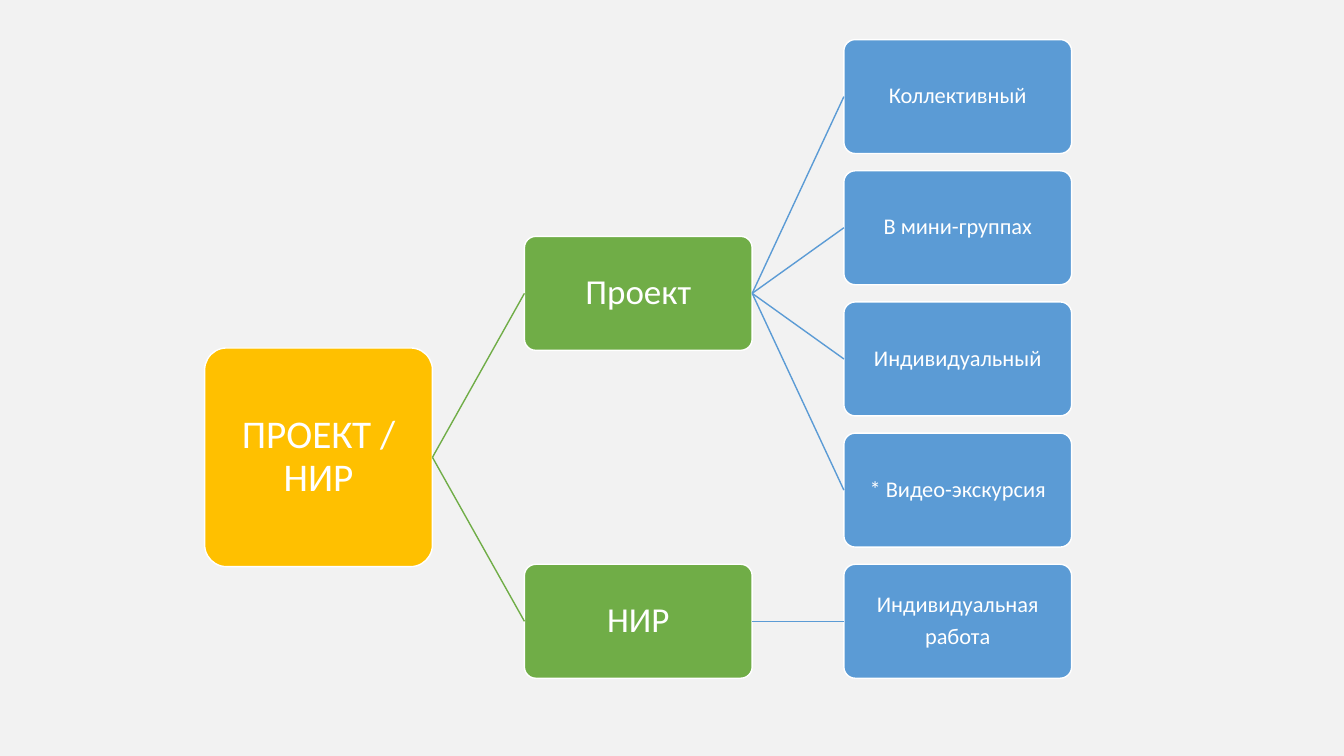
from pptx import Presentation
from pptx import util as u
from pptx.dml.color import RGBColor
from pptx.enum import shapes, text
from pptx.oxml.ns import qn
from lxml import etree

theme = {
    "back": "F2F2F2", "text": "FFFFFF", "font": "Calibri",
    "root": {"fill": "FFC000", "size": 28, "inset": 1.4},
    "branch": {"fill": "70AD47", "size": 25, "inset": 1.2},
    "leaf": {"fill": "5B9BD5", "size": 16, "inset": 0.8},
}
left = {"root": 146.2, "branch": 374.6, "leaf": 602.8}
high = {"root": 156.2, "branch": 81.4, "leaf": 81.4}
WIDE, FIRST, STEP = 162.7, 69, 93.7  # box width, first leaf centre, leaf pitch
tree = {
    "Проект": ["Коллективный", "В мини-группах", "Индивидуальный", "* Видео-экскурсия"],
    "НИР": ["Индивидуальная\nработа"],
}

deck = Presentation()
deck.slide_width, deck.slide_height = u.Pt(960), u.Pt(540)
slide = deck.slides.add_slide(deck.slide_layouts[6])
slide.background.fill.solid()
slide.background.fill.fore_color.rgb = RGBColor.from_string(theme["back"])


def add_box(level, label, mid):
    """Add a rounded box of a tree level, centred on height mid."""
    look = theme[level]
    box = slide.shapes.add_shape(
        shapes.MSO_SHAPE.ROUNDED_RECTANGLE, u.Pt(left[level]),
        u.Pt(mid - high[level] / 2), u.Pt(WIDE), u.Pt(high[level]))
    box.adjustments[0] = 0.1
    box.shadow.inherit = False
    box.fill.solid()
    box.fill.fore_color.rgb = RGBColor.from_string(look["fill"])
    box.line.color.rgb = RGBColor.from_string(theme["text"])
    box.line.width = u.Pt(1)
    frame = box.text_frame
    frame.text = label
    inset = u.Pt(look["inset"])
    for key, value in {
        "word_wrap": True, "vertical_anchor": text.MSO_ANCHOR.MIDDLE,
        "margin_left": inset, "margin_right": inset,
        "margin_top": inset, "margin_bottom": inset,
    }.items():
        setattr(frame, key, value)
    for para in frame.paragraphs:
        for key, value in {
            "alignment": text.PP_ALIGN.CENTER, "line_spacing": 0.9,
            "space_after": u.Pt(0.35 * look["size"]),
        }.items():
            setattr(para, key, value)
        for key, value in {"name": theme["font"], "size": u.Pt(look["size"])}.items():
            setattr(para.font, key, value)
        para.font.color.rgb = RGBColor.from_string(theme["text"])
    return box


def add_link(start, end, level):
    link = slide.shapes.add_connector(shapes.MSO_CONNECTOR.STRAIGHT, 0, 0, 0, 0)
    link.begin_connect(start, 3)
    link.end_connect(end, 1)
    link.line.color.rgb = RGBColor.from_string(theme[level]["fill"])
    link.line.width = u.Pt(1)
    etree.SubElement(link._element.spPr, qn("a:effectLst"))


# Each parent sits halfway between its first and last child
mids, row = {}, 0
for name, leaves in tree.items():
    mids[name] = FIRST + STEP * (row + (len(leaves) - 1) / 2)
    row += len(leaves)

root = add_box("root", "ПРОЕКТ / НИР", sum(mids.values()) / len(mids))
row = 0
for name, leaves in tree.items():
    branch = add_box("branch", name, mids[name])
    add_link(root, branch, "branch")
    for label in leaves:
        leaf = add_box("leaf", label, FIRST + STEP * row)
        add_link(branch, leaf, "leaf")
        row += 1

deck.save("out.pptx")
